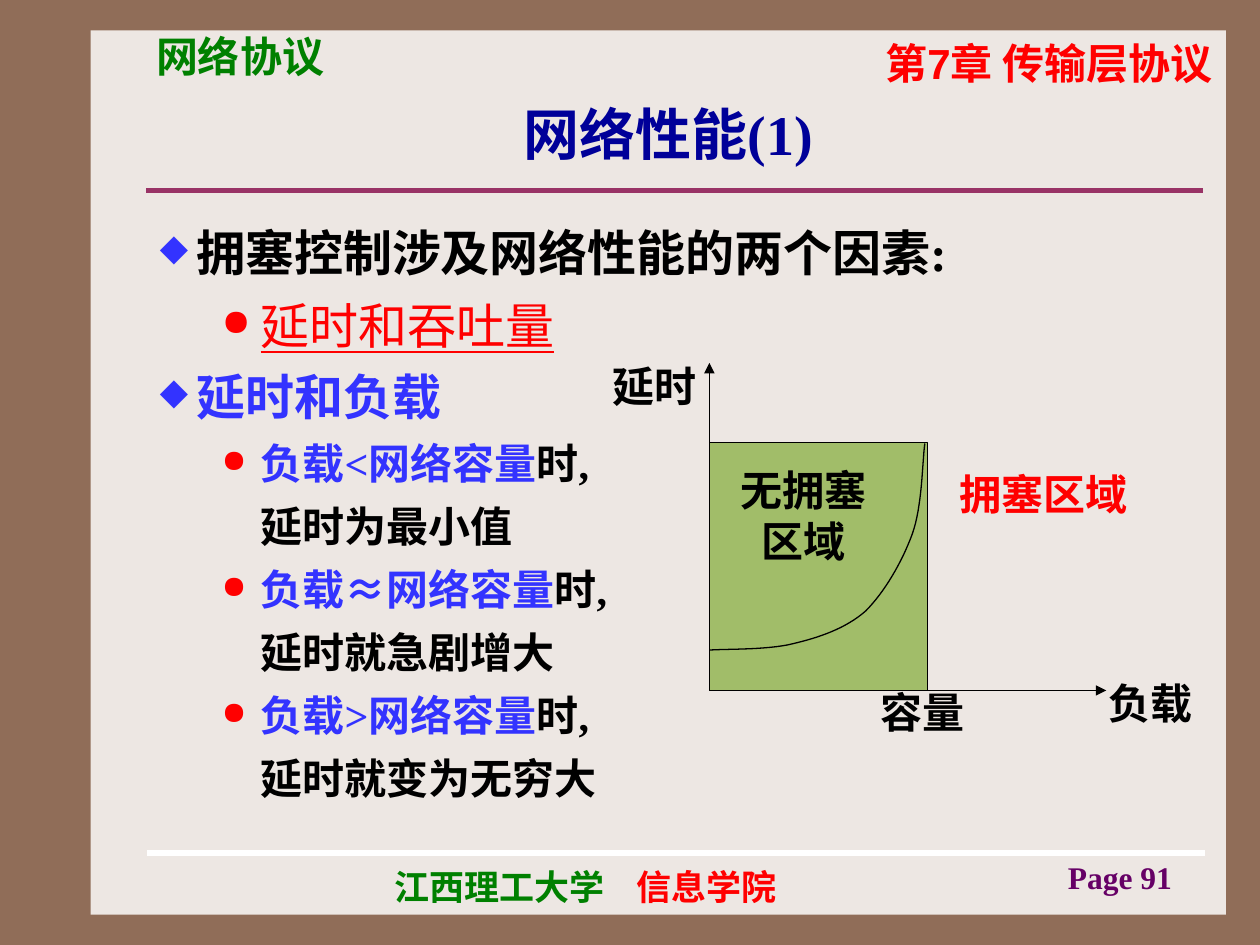
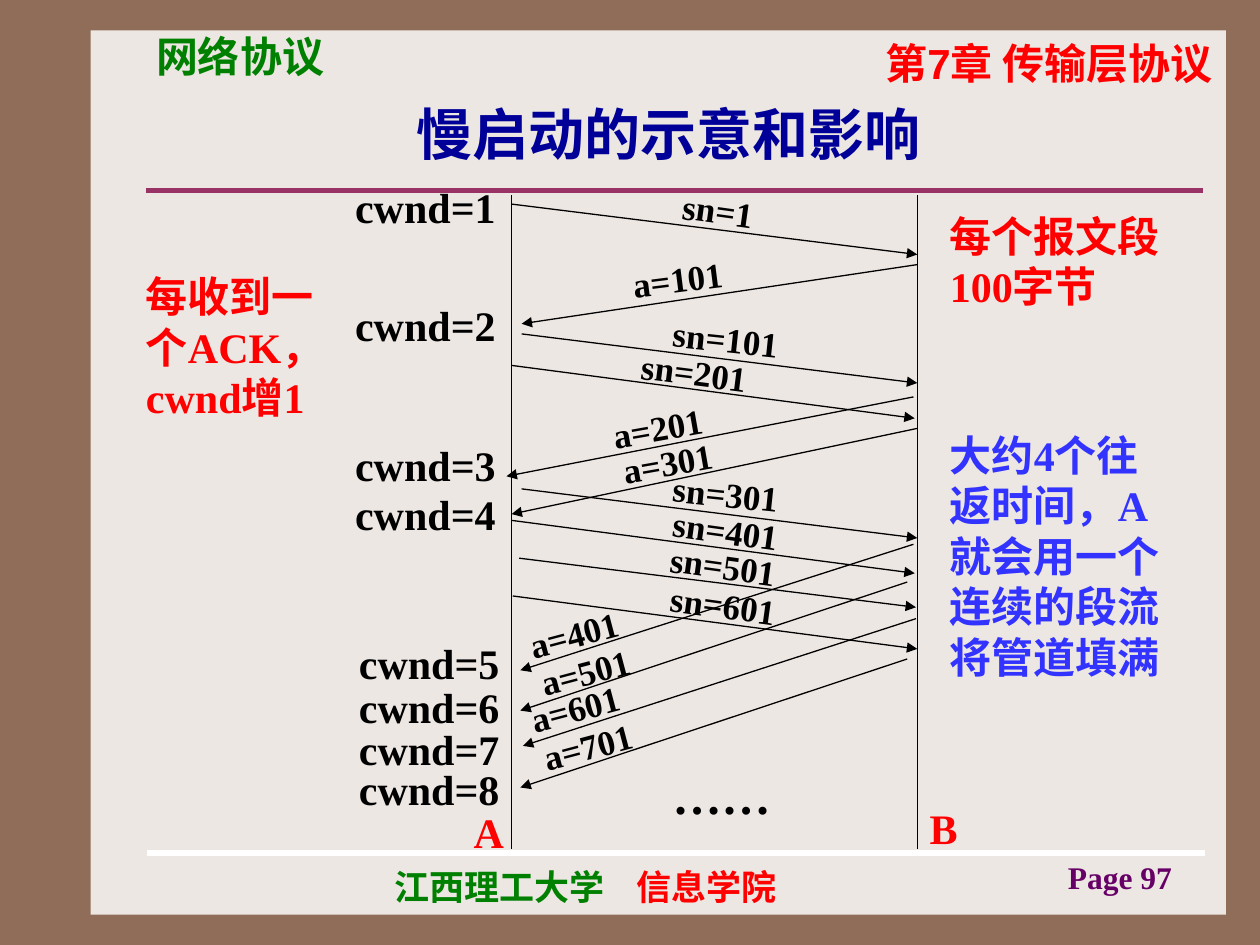
from dataclasses import dataclass
from typing import NamedTuple, Optional

from lxml.etree import SubElement
from pptx import Presentation
from pptx.dml.color import RGBColor
from pptx.enum.lang import MSO_LANGUAGE_ID as Language
from pptx.enum.shapes import MSO_CONNECTOR as Connector, MSO_SHAPE as Preset
from pptx.enum.text import MSO_ANCHOR as Anchor, PP_ALIGN as Align
from pptx.oxml.ns import qn
from pptx.util import Inches, Pt

COLORS = {
    "frame": "906D58", "paper": "EDE7E3", "rule": "993366", "white": "FFFFFF",
    "red": "FF0000", "green": "008000", "title": "000099", "page": "660066",
    "black": "000000", "blue": "3333FF", "area": "A1BD69",
}
SERIF, SANS, CHINESE = "Times New Roman", "Arial", "Noto Sans CJK SC"


def rgb(name: str) -> RGBColor:
    return RGBColor.from_string(COLORS[name])


class Run(NamedTuple):
    text: str
    color: str = "black"
    size: float = 24
    font: str = SERIF
    bold: bool = True
    underline: bool = False


class BodyLine(NamedTuple):
    runs: list[Run]
    level: int = 0
    bullet: bool = True


class Label(NamedTuple):
    text: str
    left: float
    top: float
    width: float
    height: float = 0.5
    color: str = "black"
    size: float = 24
    font: str = SERIF
    align: Align = Align.LEFT
    anchor: Anchor = Anchor.TOP
    rotation: float = 0


@dataclass
class Message:
    """An arrow between the two hosts, with its tilted label."""
    text: str
    start: tuple[float, float]
    end: tuple[float, float]
    label_at: tuple[float, float]
    rotation: float
    label_width: Optional[float] = None

    @property
    def width(self) -> float:
        return self.label_width or (1.42 if self.text.startswith("sn") else 1.34)


# Drawing helpers
def add_run(paragraph, run: Run) -> None:
    text_run = paragraph.add_run()
    text_run.text = run.text
    settings = {"name": run.font, "size": Pt(run.size), "bold": run.bold,
                "underline": run.underline,
                "language_id": Language.SIMPLIFIED_CHINESE}
    for name, value in settings.items():
        setattr(text_run.font, name, value)
    text_run.font.color.rgb = rgb(run.color)
    SubElement(text_run.font._element, qn("a:ea"), typeface=CHINESE)


def add_frame(slide, left: float, top: float, width: float, height: float,
              anchor: Anchor = Anchor.TOP, rotation: float = 0):
    shape = slide.shapes.add_textbox(*map(Inches, (left, top, width, height)))
    shape.rotation = rotation
    settings = {"word_wrap": True, "vertical_anchor": anchor}
    for name, value in settings.items():
        setattr(shape.text_frame, name, value)
    return shape.text_frame


def add_label(slide, label: Label) -> None:
    frame = add_frame(slide, label.left, label.top, label.width, label.height,
                      label.anchor, label.rotation)
    paragraph = frame.paragraphs[0]
    paragraph.alignment = label.align
    add_run(paragraph, Run(label.text, label.color, label.size, label.font))


def add_line(slide, start: tuple[float, float], end: tuple[float, float],
             color: str = "black", width: float = 0.75, arrow: bool = False) -> None:
    connector = slide.shapes.add_connector(
        Connector.STRAIGHT, *map(Inches, (*start, *end)))
    connector.line.color.rgb = rgb(color)
    connector.line.width = Pt(width)
    properties = connector.element.spPr
    if arrow:
        SubElement(properties.find(qn("a:ln")), qn("a:tailEnd"), type="triangle")
    SubElement(properties, qn("a:effectLst"))


def add_rectangle(slide, left: float, top: float, width: float, height: float,
                  fill: str, outline: Optional[str] = None) -> None:
    shape = slide.shapes.add_shape(
        Preset.RECTANGLE, *map(Inches, (left, top, width, height)))
    shape.shadow.inherit = False
    shape.fill.solid()
    shape.fill.fore_color.rgb = rgb(fill)
    if outline:
        shape.line.color.rgb = rgb(outline)
        shape.line.width = Pt(0.75)
    else:
        shape.line.fill.background()


def add_curve(slide, start: tuple[float, float], segments, steps: int = 16) -> None:
    """Draw joined cubic Bezier segments as one open outline."""
    points = []
    origin = start
    for first, second, end in segments:
        for step in range(1, steps + 1):
            t = step / steps
            weights = ((1 - t) ** 3, 3 * t * (1 - t) ** 2, 3 * t * t * (1 - t), t ** 3)
            controls = (origin, first, second, end)
            points.append(tuple(
                Inches(sum(weight * point[axis] for weight, point in zip(weights, controls)))
                for axis in (0, 1)))
        origin = end
    builder = slide.shapes.build_freeform(*map(Inches, start))
    builder.add_line_segments(points, close=False)
    shape = builder.convert_to_shape()
    shape.shadow.inherit = False
    shape.fill.background()
    shape.line.color.rgb = rgb("black")
    shape.line.width = Pt(0.75)


def set_tab(paragraph, position: float) -> None:
    tabs = SubElement(paragraph._p.get_or_add_pPr(), qn("a:tabLst"))
    SubElement(tabs, qn("a:tab"), pos=str(Inches(position)), algn="l")


# Body levels: margin, hanging indent, line spacing, bullet, bullet colour
LEVELS = [(0.29, 0.29, 1.2, "◆", "blue"), (0.8, 0.31, 1.25, "●", "red")]


def add_body(slide, lines: list[BodyLine]) -> None:
    frame = add_frame(slide, 1.17, 1.62, 7.06, 5.43)
    for index, line in enumerate(lines):
        paragraph = frame.add_paragraph() if index else frame.paragraphs[0]
        margin, hanging, spacing, mark, color = LEVELS[line.level]
        paragraph.line_spacing = spacing
        properties = paragraph._p.get_or_add_pPr()
        properties.set("marL", str(Inches(margin)))
        properties.set("indent", str(-Inches(hanging) if line.bullet else 0))
        if line.bullet:
            SubElement(SubElement(properties, qn("a:buClr")),
                       qn("a:srgbClr"), val=COLORS[color])
            SubElement(properties, qn("a:buSzPct"), val="75000")
            SubElement(properties, qn("a:buChar"), char=mark)
        for run in line.runs:
            add_run(paragraph, run)


# Shared frame, header and footer
def add_base_slide(presentation, title: str, page: int):
    slide = presentation.slides.add_slide(presentation.slide_layouts[6])
    slide.background.fill.solid()
    slide.background.fill.fore_color.rgb = rgb("frame")
    add_rectangle(slide, 0.72, 0.24, 9.01, 7.02, "paper")
    add_line(slide, (1.16, 1.51), (9.55, 1.51), "rule", 3)
    add_line(slide, (1.17, 6.77), (9.56, 6.77), "white", 3)
    for label in (
        Label("第7章 传输层协议", 6.26, 0.25, 3.46, color="red", font=SANS, align=Align.RIGHT),
        Label("网络协议", 1.14, 0.19, 2.6, color="green", font=SANS),
        Label(f"Page {page}", 7.98, 6.76, 1.42, 0.35, "page", 18, align=Align.RIGHT),
        Label(title, 1.14, 0.68, 8.33, 0.76, "title", 32,
              align=Align.CENTER, anchor=Anchor.MIDDLE),
    ):
        add_label(slide, label)
    footer = add_frame(slide, 3.03, 6.82, 4.41, 0.43).paragraphs[0]
    set_tab(footer, 1.92)
    add_run(footer, Run("江西理工大学\t", "green", 20, CHINESE))
    add_run(footer, Run("信息学院", "red", 20, CHINESE))
    return slide


# Slide 1: delay against load
def build_performance_slide(presentation) -> None:
    slide = add_base_slide(presentation, "网络性能(1)", 91)
    lines = [
        BodyLine([Run("拥塞控制涉及网络性能的两个因素:", size=28)]),
        BodyLine([Run("延时和吞吐量", "red", 28, bold=False, underline=True)], 1),
        BodyLine([Run("延时和负载", "blue", 28)]),
    ]
    for sign, effect in (("<", "延时为最小值"), ("≈", "延时就急剧增大"),
                         (">", "延时就变为无穷大")):
        lines.append(BodyLine([Run(f"负载{sign}网络容量", "blue"), Run("时,")], 1))
        lines.append(BodyLine([Run(effect)], 1, bullet=False))
    add_body(slide, lines)

    origin = (5.63, 5.48)
    add_line(slide, origin, (8.78, 5.48), arrow=True)
    add_line(slide, origin, (5.63, 2.88), arrow=True)
    add_rectangle(slide, 5.63, 3.51, 1.73, 1.97, "area", "black")
    add_curve(slide, (5.63, 5.16), [
        ((5.74, 5.15), (6.09, 5.16), (6.29, 5.11)),
        ((6.5, 5.06), (6.71, 4.99), (6.87, 4.85)),
        ((7.02, 4.7), (7.16, 4.46), (7.24, 4.24)),
        ((7.32, 4.02), (7.32, 3.67), (7.34, 3.52)),
    ])
    for label in (
        Label("负载", 8.7, 5.33, 0.94),
        Label("容量", 6.89, 5.4, 0.94),
        Label("延时", 4.76, 2.81, 0.94),
        Label("无拥塞区域", 5.71, 3.64, 1.34, 0.9, align=Align.CENTER),
        Label("拥塞区域", 7.52, 3.67, 1.97, color="red"),
    ):
        add_label(slide, label)


# Slide 2: slow start message sequence
MESSAGES = [
    Message("sn=1", (4.06, 1.62), (7.28, 2.02), (5.32, 1.47), 8, 1.02),
    Message("a=101", (7.28, 2.1), (4.14, 2.57), (4.92, 1.97), 352.8),
    Message("sn=101", (4.14, 2.65), (7.28, 3.04), (5.24, 2.49), 6),
    Message("sn=201", (4.06, 2.9), (7.26, 3.32), (4.99, 2.76), 7.2),
    Message("a=201", (7.25, 3.15), (4.02, 3.78), (4.76, 3.14), 350),
    Message("a=301", (7.28, 3.4), (4.06, 4.08), (4.84, 3.42), 350),
    Message("sn=301", (4.14, 3.88), (7.28, 4.27), (5.24, 3.72), 6),
    Message("sn=401", (4.06, 4.13), (7.26, 4.55), (5.24, 4.02), 8),
    Message("sn=501", (4.12, 4.43), (7.27, 4.82), (5.22, 4.3), 8),
    Message("sn=601", (4.07, 4.73), (7.28, 5.15), (5.22, 4.61), 8),
    Message("a=401", (7.25, 4.32), (4.13, 5.32), (4.09, 4.76), 345),
    Message("a=501", (7.2, 4.62), (4.13, 5.64), (4.18, 5.06), 345),
    Message("a=601", (7.27, 4.91), (4.15, 5.92), (4.1, 5.35), 345),
    Message("a=701", (7.2, 5.23), (4.13, 6.25), (4.2, 5.65), 345),
]
WINDOW_TOPS = [1.39, 2.33, 3.44, 3.83, 5.01, 5.36, 5.69, 6.01]


def build_slow_start_slide(presentation) -> None:
    slide = add_base_slide(presentation, "慢启动的示意和影响", 97)
    for host_x in (4.06, 7.28):
        add_line(slide, (host_x, 1.55), (host_x, 6.74))
    for message in MESSAGES:
        add_line(slide, message.start, message.end, arrow=True)
        add_label(slide, Label(message.text, *message.label_at, message.width, 0.43,
                               size=20, rotation=message.rotation))
    for window, top in enumerate(WINDOW_TOPS, start=1):
        left = 2.72 if window <= 4 else 2.75
        add_label(slide, Label(f"cwnd={window}", left, top, 1.81))
    for label in (
        Label("每个报文段100字节", 7.44, 1.62, 1.89, 0.9, "red"),
        Label("每收到一个ACK，cwnd增1", 1.06, 2.1, 1.65, 1.3, "red"),
        Label("大约4个往返时间，A就会用一个连续的段流将管道填满", 7.44, 3.36, 1.89, 2.1, "blue"),
        Label("……", 5.24, 6.03, 1.57, 0.57, size=28),
        Label("A", 3.66, 6.35, 0.71, color="red"),
        Label("B", 7.28, 6.32, 0.71, color="red"),
    ):
        add_label(slide, label)


def main() -> None:
    presentation = Presentation()
    presentation.slide_width, presentation.slide_height = Inches(10), Inches(7.5)
    build_performance_slide(presentation)
    build_slow_start_slide(presentation)
    presentation.save("out.pptx")


if __name__ == "__main__":
    main()
